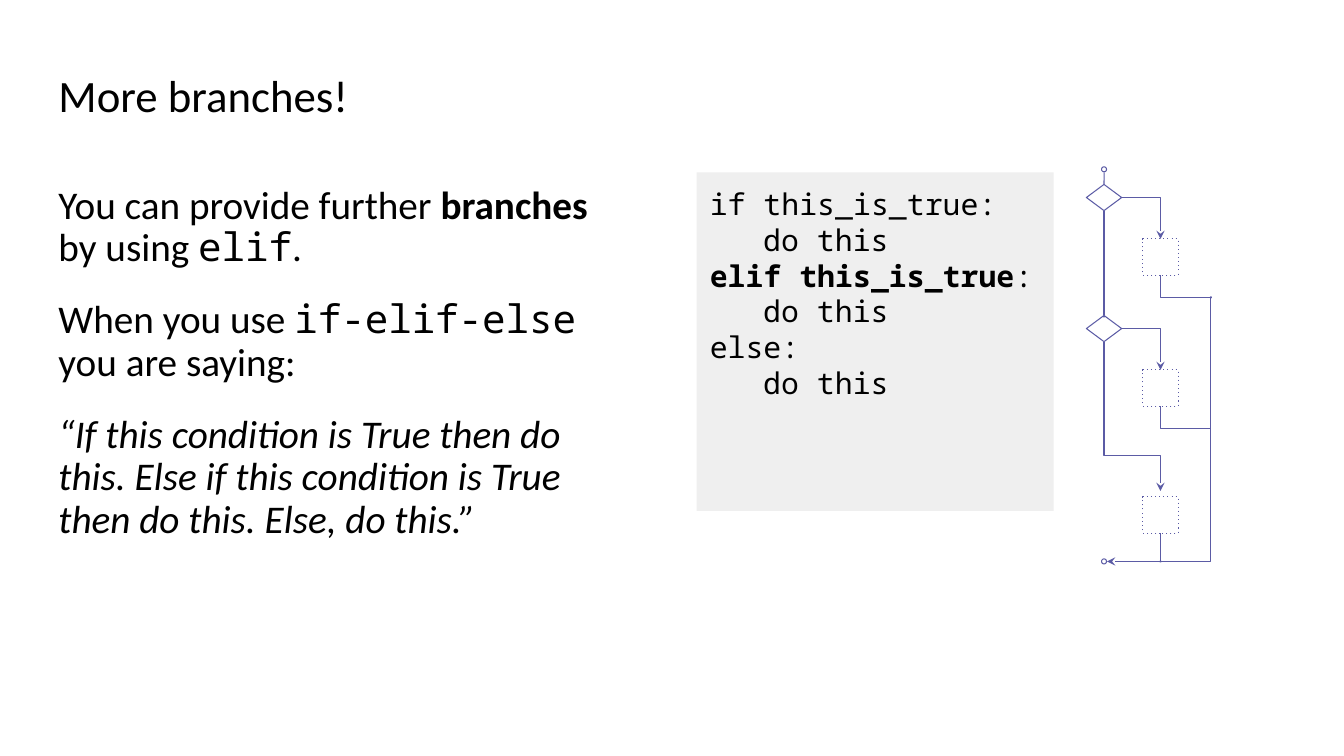
from pptx import Presentation
from pptx.dml.color import RGBColor
from pptx.enum.shapes import MSO_CONNECTOR, MSO_SHAPE
from pptx.enum.text import MSO_ANCHOR, MSO_AUTO_SIZE, PP_ALIGN
from pptx.oxml.ns import qn
from pptx.util import Inches, Pt
from lxml import etree

RECT = MSO_SHAPE.RECTANGLE
OVAL = MSO_SHAPE.OVAL
DIAMOND = MSO_SHAPE.FLOWCHART_DECISION
STRAIGHT, ELBOW = MSO_CONNECTOR.STRAIGHT, MSO_CONNECTOR.ELBOW
TOP, MIDDLE = MSO_ANCHOR.TOP, MSO_ANCHOR.MIDDLE
LEFT = PP_ALIGN.LEFT
NO_FIT = MSO_AUTO_SIZE.NONE
UP, DOWN = 0, 2

COLORS = {"text": "000000", "panel": "EFEFEF", "flow": "5B5BA5"}
SANS, MONO = "Calibri", "Noto Sans Mono"

MAIN_X, STEP_X, JOIN_X = 10.95, 11.51, 12.01
TEST_Y = [1.96, 3.26]
STEP_Y = [2.55, 3.85, 5.11]
END_Y = 5.57

BODY = [
    [("You can provide further ", {}), ("branches", {"bold": True}),
     (" by using ", {}), ("elif", {"name": MONO}), (".", {})],
    [("When you use ", {}), ("if-elif-else", {"name": MONO}),
     (" you are saying:", {})],
    [("“If this condition is True then do this. Else if this condition "
      "is True then do this. Else, do this.”", {"italic": True})],
]
TASK = [("do this", {})]
CODE = [
    [("if this_is_true:", {})], TASK,
    [("elif this_is_true", {"bold": True}), (":", {})], TASK,
    [("else:", {})], TASK,
]


def color(key):
    return RGBColor.from_string(COLORS[key])


def place(shape, *box):
    for name, size in zip(("left", "top", "width", "height"), box):
        setattr(shape, name, Inches(size))


def write(shape, paras, font, size, anchor=TOP, spacing=1.0, gap=0):
    """Fill a shape with paragraphs of (text, font changes) runs."""
    frame = shape.text_frame
    pad = Inches(0.13)
    style = {"word_wrap": True, "auto_size": NO_FIT, "vertical_anchor": anchor,
             "margin_left": pad, "margin_right": pad,
             "margin_top": pad, "margin_bottom": pad}
    for name, value in style.items():
        setattr(frame, name, value)
    for i, runs in enumerate(paras):
        para = frame.add_paragraph() if i else frame.paragraphs[0]
        para.alignment, para.line_spacing = LEFT, spacing
        para.space_before = Pt(gap if i else 0)
        para.space_after = Pt(0)
        props = para._p.get_or_add_pPr()
        indent = Inches(0.53) if runs is TASK else 0
        props.set("marL", str(indent))
        props.set("indent", "0")
        etree.SubElement(props, qn("a:buNone"))
        for text, changes in runs:
            run = para.add_run()
            run.text = text
            look = {"name": font, "size": Pt(size), **changes}
            for name, value in look.items():
                setattr(run.font, name, value)
            run.font.color.rgb = color("text")


def ink(shape, tag=None, **attrs):
    """Colour the outline and add one optional part, such as an arrowhead."""
    shape.line.color.rgb = color("flow")
    shape.line.width = Pt(0.75)
    if tag:
        etree.SubElement(shape.line._get_or_add_ln(), qn(tag), attrs)


def node(slide, kind, x, y, width, height, dotted=False, solid=False):
    """Draw a flow chart shape centred on x, y."""
    shape = slide.shapes.add_shape(
        kind, Inches(x - width / 2), Inches(y - height / 2),
        Inches(width), Inches(height))
    shape.shadow.inherit = False
    if solid:
        shape.fill.solid()
        shape.fill.fore_color.rgb = color("flow")
    else:
        shape.fill.background()
    if dotted:
        ink(shape, "a:prstDash", val="dot")
    else:
        ink(shape)
    return shape


def link(slide, start, end, arrow=False, kind=STRAIGHT):
    line = slide.shapes.add_connector(
        kind, *(Inches(n) for n in (*start, *end)))
    if arrow:
        ink(line, "a:tailEnd", type="stealth")
    else:
        ink(line)
    etree.SubElement(line._element.spPr, qn("a:effectLst"))
    return line


def elbow(slide, start, end, arrow=False, down=True, bend=None):
    """Bend once, or twice if bend gives the share of the first leg."""
    line = link(slide, start, end, arrow, ELBOW)
    props = line._element.spPr
    shape = props.find(qn("a:prstGeom"))
    shape.set("prst", "bentConnector3" if bend else "bentConnector2")
    if bend:
        guides = shape.find(qn("a:avLst"))
        if guides is None:
            guides = etree.SubElement(shape, qn("a:avLst"))
        etree.SubElement(guides, qn("a:gd"), name="adj1",
                         fmla=f"val {round(bend * 100000)}")
    if down:
        (x1, y1), (x2, y2) = start, end
        wide, high = abs(x2 - x1), y2 - y1
        place(line, (x1 + x2 - high) / 2, (y1 + y2 - wide) / 2, high, wide)
        turn = props.find(qn("a:xfrm"))
        right = x2 > x1
        turn.set("rot", str((270 if right else 90) * 60000))
        turn.set("flipH", str(int(right)))


def panel(slide):
    shape = slide.shapes.add_shape(RECT, 0, 0, 0, 0)
    place(shape, 6.91, 1.71, 3.54, 3.36)
    shape.shadow.inherit = False
    shape.fill.solid()
    shape.fill.fore_color.rgb = color("panel")
    shape.line.fill.background()
    write(shape, CODE, MONO, 21.33)


def flow(slide):
    tests = [node(slide, DIAMOND, MAIN_X, y, 0.35, 0.26) for y in TEST_Y]
    steps = [node(slide, RECT, STEP_X, y, 0.35, 0.36, True) for y in STEP_Y]
    for y in (1.68, END_Y):
        node(slide, OVAL, MAIN_X, y, 0.05, 0.05)
    for x, y in ((STEP_X, END_Y), (JOIN_X, 2.95), (MAIN_X, 3.14)):
        node(slide, OVAL, x, y, 0.01, 0.01, solid=True)

    entry = link(slide, (MAIN_X, 1.71), (MAIN_X, 1.83))
    entry.end_connect(tests[0], UP)
    trunk = link(slide, (MAIN_X, 2.09), (MAIN_X, 3.13))
    trunk.begin_connect(tests[0], DOWN)
    trunk.end_connect(tests[1], UP)
    for y1, y2 in zip(TEST_Y, STEP_Y):
        elbow(slide, (MAIN_X + 0.18, y1), (STEP_X, y2 - 0.18), True, False)
        elbow(slide, (STEP_X, y2 + 0.18), (JOIN_X, y2 + 0.4))
    elbow(slide, (MAIN_X, 3.39), (STEP_X, 4.87), True, bend=0.76)
    exit_line = link(slide, (STEP_X, 5.29), (STEP_X, END_Y))
    exit_line.begin_connect(steps[2], DOWN)
    elbow(slide, (JOIN_X, 2.95), (STEP_X, END_Y))
    link(slide, (STEP_X, END_Y), (MAIN_X + 0.03, END_Y), True)


def main():
    deck = Presentation()
    deck.slide_width, deck.slide_height = Inches(13.33), Inches(7.5)
    slide = deck.slides.add_slide(deck.slide_layouts[1])
    title, body = slide.placeholders
    place(title, 0.45, 0.46, 12.43, 1.02)
    write(title, [[("More branches!", {})]], SANS, 32, MIDDLE, 0.9)
    place(body, 0.45, 1.71, 5.97, 5.34)
    write(body, BODY, SANS, 28, spacing=0.9, gap=21.33)
    panel(slide)
    flow(slide)
    deck.save("out.pptx")


if __name__ == "__main__":
    main()
